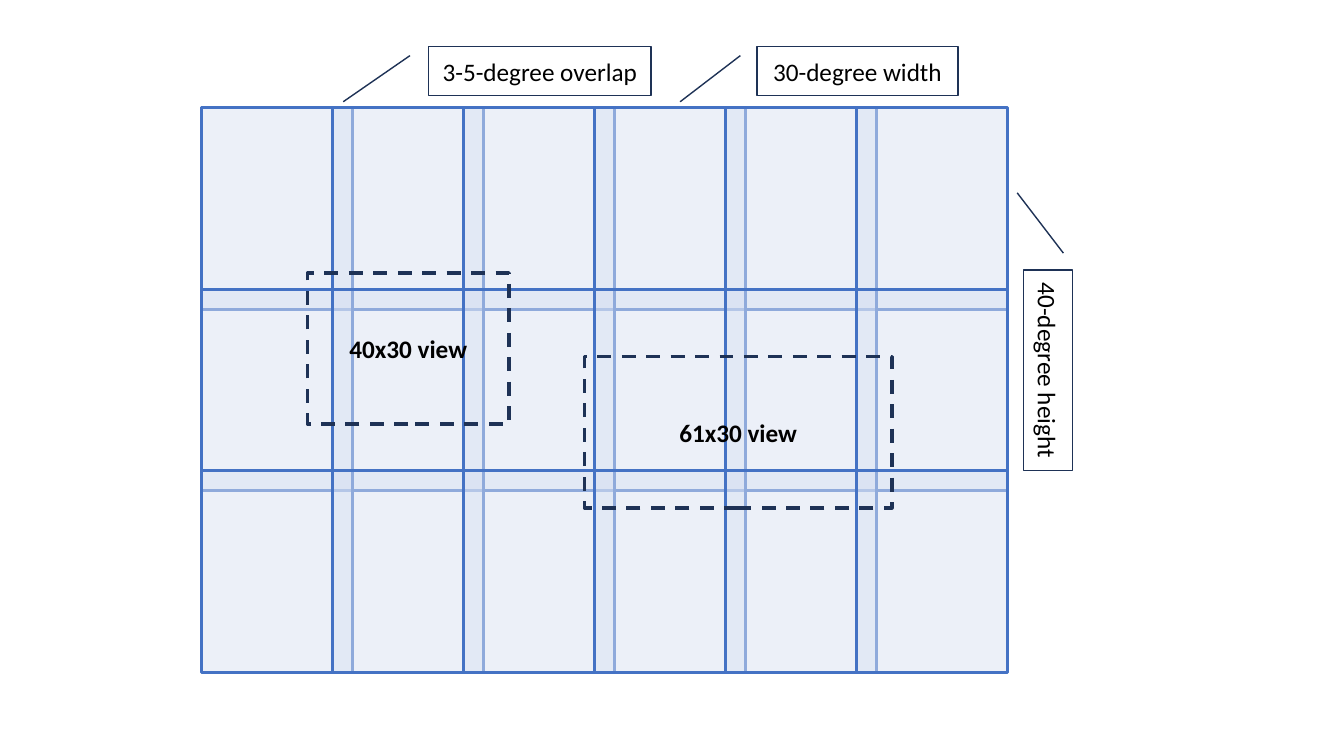
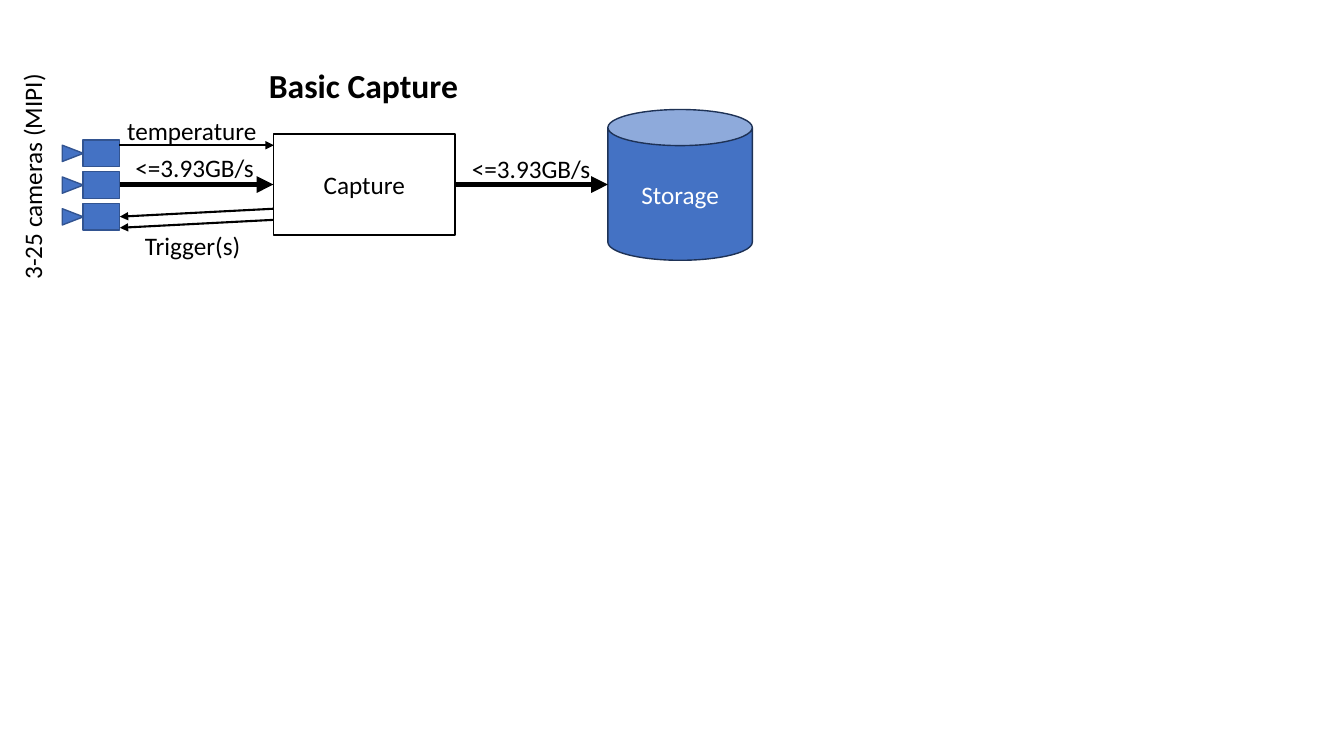
from lxml.etree import SubElement
from pptx import Presentation
from pptx.dml.color import RGBColor
from pptx.enum.dml import MSO_LINE
from pptx.enum.shapes import MSO_CONNECTOR, MSO_SHAPE
from pptx.enum.text import MSO_ANCHOR, MSO_AUTO_SIZE, PP_ALIGN
from pptx.oxml.ns import qn
from pptx.util import Cm, Pt

WHITE = RGBColor(0xFF, 0xFF, 0xFF)
BLACK = RGBColor(0x00, 0x00, 0x00)
NAVY = RGBColor(0x1E, 0x32, 0x56)
BLUE = RGBColor(0x44, 0x72, 0xC4)
DARK_BLUE = RGBColor(0x32, 0x54, 0x91)
PALE_BLUE = RGBColor(0xDA, 0xE3, 0xF3)

BODY = {"name": "Calibri", "size": Pt(18), "bold": False}
BOLD = {**BODY, "bold": True}
TITLE = {**BOLD, "size": Pt(24)}


def write(shape, text, font_format=BODY, color=BLACK):
    """Put one centred paragraph into a shape."""
    frame = shape.text_frame
    frame.word_wrap = True
    para = frame.paragraphs[0]
    para.alignment = PP_ALIGN.CENTER
    span = para.add_run()
    span.text = text
    for name, value in font_format.items():
        setattr(span.font, name, value)
    span.font.color.rgb = color


def add_box(shapes, kind, at, fill, line, line_width=1):
    box = shapes.add_shape(kind, *map(Cm, at))
    box.shadow.inherit = False
    if fill is None:
        box.fill.background()
    else:
        box.fill.solid()
        box.fill.fore_color.rgb = fill
    box.line.color.rgb = line
    box.line.width = Pt(line_width)
    return box


deck = Presentation()
deck.slide_width, deck.slide_height = Cm(33.87), Cm(19.05)
title_only, blank = deck.slide_layouts[5], deck.slide_layouts[6]

# Overlapping camera views
page = deck.slides.add_slide(blank)
TILE_WIDTH, TILE_HEIGHT, OVERLAP = 3.81, 5.08, 0.51
for row in range(3):
    for column in range(6):
        left = 5.08 + column * (TILE_WIDTH - OVERLAP)
        top = 2.72 + row * (TILE_HEIGHT - OVERLAP)
        tile = add_box(page.shapes, MSO_SHAPE.RECTANGLE,
                       (left, top, TILE_WIDTH, TILE_HEIGHT), PALE_BLUE, BLUE, 2)
        tile_color = tile._element.spPr.find(qn("a:solidFill")).find(qn("a:srgbClr"))
        SubElement(tile_color, qn("a:alpha"), val="50000")

for text, left, top, width, rotation in (
    ("30-degree width", 19.08, 1.17, 5.06, 0),
    ("3-5-degree overlap", 10.8, 1.17, 5.61, 0),
    ("40-degree height", 23.88, 8.71, 5.06, 90),
):
    callout = add_box(page.shapes, MSO_SHAPE.LINE_CALLOUT_1,
                      (left, top, width, 1.24), WHITE, NAVY)
    callout.rotation = rotation
    write(callout, text)

for text, left, top, width in (
    ("40x30 view", 7.75, 6.88, 5.08),
    ("61x30 view", 14.73, 8.99, 7.75),
):
    view = add_box(page.shapes, MSO_SHAPE.RECTANGLE,
                   (left, top, width, 3.81), None, NAVY, 2.5)
    view.line.dash_style = MSO_LINE.DASH
    write(view, text, BOLD)

# Capture pipeline
page = deck.slides.add_slide(title_only)
title = page.shapes.title
title.left, title.top, title.width, title.height = map(Cm, (5.64, 1.52, 7.04, 1.28))
title.text_frame.vertical_anchor = MSO_ANCHOR.TOP
title.text_frame.auto_size = MSO_AUTO_SIZE.NONE
write(title, "Basic Capture", TITLE)

cameras = page.shapes.add_group_shape()
for index in range(3):
    offset = index * 0.8
    add_box(cameras.shapes, MSO_SHAPE.RECTANGLE,
            (2.09, 3.53 + offset, 0.93, 0.67), BLUE, DARK_BLUE)
    lens = add_box(cameras.shapes, MSO_SHAPE.ISOSCELES_TRIANGLE,
                   (1.63, 3.6 + offset, 0.41, 0.53), BLUE, DARK_BLUE)
    lens.rotation = 90

capture = add_box(page.shapes, MSO_SHAPE.RECTANGLE, (6.89, 3.38, 4.58, 2.54), WHITE, BLACK)
write(capture, "Capture")
storage = add_box(page.shapes, MSO_SHAPE.CAN, (15.32, 2.76, 3.64, 3.8), BLUE, NAVY)
write(storage, "Storage", color=WHITE)

for start_x, start_y, end_x, end_y, width in (
    (3.02, 4.65, 6.89, 4.65, 4),
    (11.47, 4.65, 15.32, 4.65, 4),
    (3.01, 3.66, 6.9, 3.66, 1.5),
    (6.89, 5.26, 3.02, 5.46, 1.5),
    (6.89, 5.54, 3.02, 5.74, 1.5),
):
    arrow = page.shapes.add_connector(
        MSO_CONNECTOR.STRAIGHT, Cm(start_x), Cm(start_y), Cm(end_x), Cm(end_y))
    arrow.line.color.rgb = BLACK
    arrow.line.width = Pt(width)
    SubElement(arrow.line._get_or_add_ln(), qn("a:tailEnd"), type="triangle")
    SubElement(arrow._element.spPr, qn("a:effectLst"))

for text, left, top, width, rotation in (
    ("3-25 cameras (MIPI)", -2.74, 3.94, 7.11, 270),
    ("<=3.93GB/s", 2.62, 3.71, 4.57, 0),
    ("<=3.93GB/s", 11.1, 3.73, 4.57, 0),
    ("Trigger(s)", 2.57, 5.69, 4.57, 0),
    ("temperature", 2.79, 2.79, 4.09, 0),
):
    label = page.shapes.add_textbox(Cm(left), Cm(top), Cm(width), Cm(1.03))
    label.rotation = rotation
    label.text_frame.auto_size = MSO_AUTO_SIZE.SHAPE_TO_FIT_TEXT
    write(label, text)

deck.save("out.pptx")
